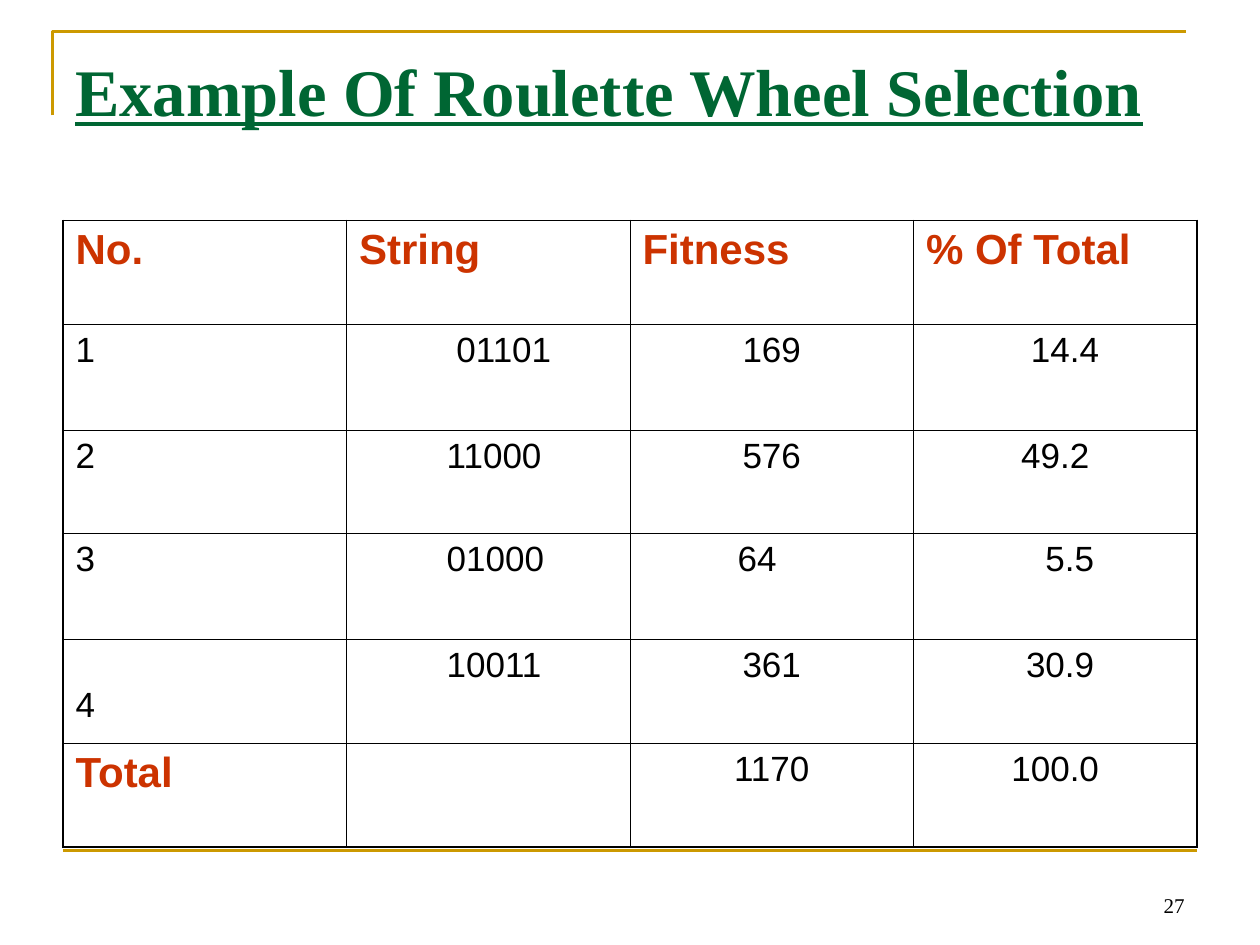
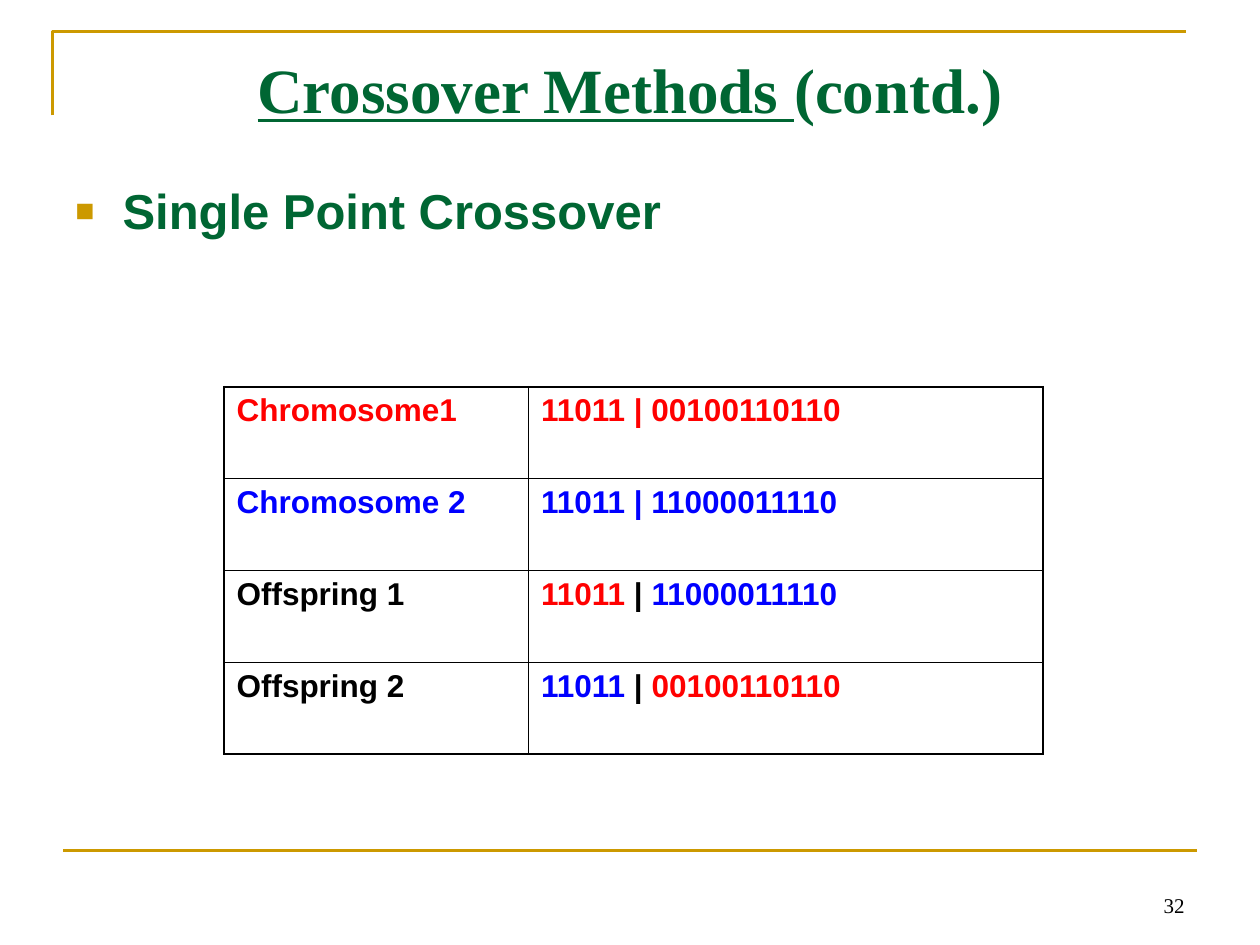
from dataclasses import dataclass

from lxml.etree import SubElement
from pptx import Presentation
from pptx.dml.color import RGBColor
from pptx.enum.shapes import MSO_CONNECTOR as CONN
from pptx.enum.text import MSO_ANCHOR as ANCHOR, PP_ALIGN as ALIGN
from pptx.oxml.ns import qn
from pptx.util import Pt

GOLD = RGBColor(0xCC, 0x99, 0x00)
GREEN = RGBColor(0x00, 0x66, 0x33)
RUST = RGBColor(0xCC, 0x33, 0x00)
RED = RGBColor(0xFF, 0x00, 0x00)
BLUE = RGBColor(0x00, 0x00, 0xFF)
BLACK = RGBColor(0x00, 0x00, 0x00)

SANS, SERIF = "Arial", "Times New Roman"
SLIDE_W, SLIDE_H = 720, 540
MARGIN, CONTENT_W = 36, 648
PAD_X, PAD_Y = 7.2, 3.6
OUTER, INNER = 1.08, 0.45
SPACE = 5.56


@dataclass
class Entry:
    """Text runs of one table cell with their style and extra margins."""
    runs: list
    size: float
    bold: bool = False
    align: ALIGN = ALIGN.LEFT
    left: float = 0
    right: float = 0
    top: float = 0


def add_run(p, text, font, size, color, bold=False, underline=False):
    """Add one styled run to a paragraph."""
    r = p.add_run()
    r.text = text
    r.font.name, r.font.size = font, Pt(size)
    r.font.bold, r.font.underline = bold, underline
    r.font.color.rgb = color


def add_box(s, box, pad_y, anchor=ANCHOR.TOP, align=ALIGN.LEFT):
    """Add a wrapping text box and return its first paragraph."""
    tf = s.shapes.add_textbox(*map(Pt, box)).text_frame
    tf.word_wrap = True
    tf.vertical_anchor = anchor
    tf.margin_left = tf.margin_right = Pt(PAD_X)
    tf.margin_top = tf.margin_bottom = Pt(pad_y)
    p = tf.paragraphs[0]
    p.alignment = align
    return p


def add_frame(s, box):
    """Draw the gold corner and the bottom rule around the content box."""
    x, y, w, h = box
    corner = s.shapes.build_freeform(Pt(x - 6), Pt(y + 48), scale=1.0)
    corner.add_line_segments([(Pt(x - 6), Pt(y)), (Pt(x - 6 + w), Pt(y))], close=False)
    sp = corner.convert_to_shape()
    sp.shadow.inherit = False
    sp.fill.background()
    rule = s.shapes.add_connector(CONN.STRAIGHT, Pt(x), Pt(y + h), Pt(x + w), Pt(y + h))
    SubElement(rule._element.spPr, qn("a:effectLst"))
    for line in (sp.line, rule.line):
        line.color.rgb = GOLD
        line.width = Pt(1.5)


def add_number(s, box, number):
    """Write the slide number at the lower right."""
    p = add_box(s, box, PAD_Y, ANCHOR.BOTTOM, ALIGN.RIGHT)
    add_run(p, str(number), SERIF, 12, BLACK)


def add_title(s, box, runs, size, align=ALIGN.LEFT):
    """Write the title from (text, underline) pairs."""
    p = add_box(s, box, PAD_X, align=align)
    for text, underline in runs:
        add_run(p, text, SERIF, size, GREEN, True, underline)


def add_bullet(s, box, text):
    """Write a green heading with a square gold bullet."""
    p = add_box(s, box, PAD_X)
    pPr = p._p.get_or_add_pPr()
    pPr.set("marL", str(Pt(27)))
    pPr.set("indent", str(Pt(-27)))
    SubElement(SubElement(pPr, qn("a:buClr")), qn("a:srgbClr"), val=str(GOLD))
    SubElement(pPr, qn("a:buSzPct"), val="65000")
    SubElement(pPr, qn("a:buFont"), typeface=SANS)
    SubElement(pPr, qn("a:buChar"), char="■")
    add_run(p, text, SANS, 28, GREEN, True)


def set_borders(cell, widths):
    """Give a cell black borders from a mapping of side to width."""
    tcPr = cell._tc.get_or_add_tcPr()
    for side, width in widths.items():
        ln = SubElement(tcPr, qn(f"a:ln{side}"), w=str(Pt(width)))
        SubElement(SubElement(ln, qn("a:solidFill")), qn("a:srgbClr"), val=str(BLACK))


def fill_cell(cell, entry):
    """Write an entry into a cell."""
    cell.margin_left = Pt(PAD_X + entry.left)
    cell.margin_right = Pt(PAD_X + entry.right)
    cell.margin_top, cell.margin_bottom = Pt(PAD_Y + entry.top), Pt(PAD_Y)
    p = cell.text_frame.paragraphs[0]
    p.alignment = entry.align
    for text, color in entry.runs:
        add_run(p, text, SANS, entry.size, color, entry.bold)


def add_grid(s, x, y, widths, heights, rows):
    """Add an unfilled table with a thick outer and thin inner border."""
    n_rows, n_cols = len(heights), len(widths)
    tbl = s.shapes.add_table(n_rows, n_cols, Pt(x), Pt(y),
                             Pt(sum(widths)), Pt(sum(heights))).table
    tbl.first_row = tbl.horz_banding = False
    for col, width in zip(tbl.columns, widths):
        col.width = Pt(width)
    for i, (row, height) in enumerate(zip(tbl.rows, heights)):
        row.height = Pt(height)
        for j, cell in enumerate(row.cells):
            edges = {"L": j == 0, "R": j == n_cols - 1, "T": i == 0, "B": i == n_rows - 1}
            set_borders(cell, {k: OUTER if edge else INNER for k, edge in edges.items()})
            cell.fill.background()
            fill_cell(cell, rows[i][j])


def heading(text):
    """Return a bold rust label for the selection table."""
    return Entry([(text, RUST)], 24, True)


def value(text, align=ALIGN.CENTER, left=0, right=0, top=0):
    """Return a plain value whose side margins are counted in spaces."""
    return Entry([(text, BLACK)], 20, False, align, left * SPACE, right * SPACE, top)


def gene(*runs):
    """Return a bold entry for the crossover table."""
    return Entry(list(runs), 18, True)


def new_slide(prs, number):
    """Add a blank slide with the shared frame and number."""
    s = prs.slides.add_slide(prs.slide_layouts[6])
    add_frame(s, (MARGIN, 18, CONTENT_W, 468))
    add_number(s, (516, 492, 168, 36), number)
    return s


def roulette_slide(prs):
    """Build the roulette wheel selection example."""
    s = new_slide(prs, 27)
    add_title(s, (MARGIN, 21.6, CONTENT_W, 90),
              [("Example Of Roulette Wheel Selection", True)], 38)
    left = ALIGN.LEFT
    rows = [
        [heading(t) for t in ("No.", "String", "Fitness", "% Of Total")],
        [value("1", left), value("01101", left, 10), value("169"), value("14.4", left=2)],
        [value("2", left), value("11000", left, 9), value("576"), value("49.2")],
        [value("3", left), value("01000", left, 9), value("64", right=3), value("5.5", left=3)],
        [value("4", left, top=23), value("10011", left, 9), value("361"), value("30.9", left=1)],
        [heading("Total"), value(""), value("1170"), value("100.0")],
    ]
    add_grid(s, MARGIN, 126, [CONTENT_W / 4] * 4, [59.5, 60.5, 59, 60.5, 59.5, 59], rows)


def crossover_slide(prs):
    """Build the single point crossover example."""
    s = new_slide(prs, 32)
    add_title(s, (MARGIN, 21.6, CONTENT_W, 50.4),
              [("Crossover Methods ", True), ("(contd.)", False)], 36, ALIGN.CENTER)
    add_bullet(s, (MARGIN, 96, CONTENT_W, 386), "Single Point Crossover")
    head, tail_1, tail_2 = "11011 ", "00100110110", "11000011110"
    rows = [
        [gene(("Chromosome1", RED)), gene((f"{head}| {tail_1}", RED))],
        [gene(("Chromosome 2", BLUE)), gene((f"{head}| {tail_2}", BLUE))],
        [gene(("Offspring 1", BLACK)), gene((head, RED), ("| ", BLACK), (tail_2, BLUE))],
        [gene(("Offspring 2", BLACK)), gene((head, BLUE), ("| ", BLACK), (tail_1, RED))],
    ]
    add_grid(s, 128, 221, [174, 294], [52.5] * 4, rows)


def main():
    """Build and save the slides."""
    prs = Presentation()
    prs.slide_width, prs.slide_height = Pt(SLIDE_W), Pt(SLIDE_H)
    roulette_slide(prs)
    crossover_slide(prs)
    prs.save("out.pptx")


if __name__ == "__main__":
    main()
